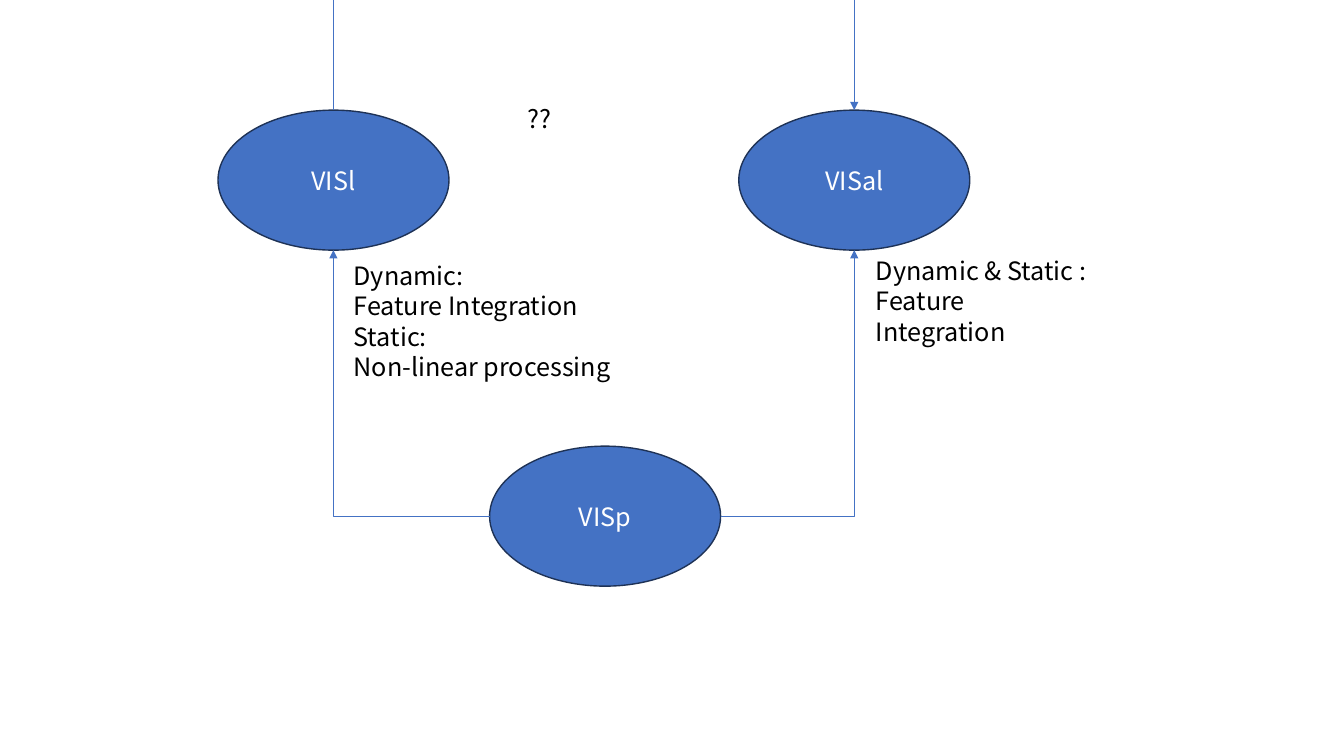
from lxml import etree
from pptx import Presentation
from pptx.dml.color import RGBColor
from pptx.enum import shapes, text
from pptx.oxml.ns import qn
from pptx.util import Pt

FONT = "Noto Sans CJK SC"
BLUE, NAVY, WHITE, BLACK = "4472C4", "1E3256", "FFFFFF", "000000"
NODE_W, NODE_H = 165, 100


def color(value):
    return RGBColor.from_string(value)


def write(sp, lines, ink, align):
    tf = sp.text_frame
    tf.word_wrap = True
    tf.text = "\n".join(lines)
    for p in tf.paragraphs:
        p.alignment = align
        p.line_spacing = Pt(21.7)
        p.font.name = FONT
        p.font.size = Pt(18)
        p.font.color.rgb = color(ink)


def add_area(slide, name, center_x, center_y):
    sp = slide.shapes.add_shape(
        shapes.MSO_SHAPE.OVAL, Pt(center_x - NODE_W / 2),
        Pt(center_y - NODE_H / 2), Pt(NODE_W), Pt(NODE_H))
    sp.shadow.inherit = False
    sp.fill.solid()
    sp.fill.fore_color.rgb = color(BLUE)
    sp.line.color.rgb = color(NAVY)
    sp.line.width = Pt(1)
    sp.text_frame.vertical_anchor = text.MSO_ANCHOR.MIDDLE
    write(sp, [name], WHITE, text.PP_ALIGN.CENTER)


def add_note(slide, lines, left, top, width, height):
    sp = slide.shapes.add_textbox(Pt(left), Pt(top), Pt(width), Pt(height))
    write(sp, lines, BLACK, text.PP_ALIGN.LEFT)


def add_link(slide, start, end, bent=False, arrow=True):
    kind = shapes.MSO_CONNECTOR.ELBOW if bent else shapes.MSO_CONNECTOR.STRAIGHT
    link = slide.shapes.add_connector(kind, *map(Pt, start + end))
    link.line.color.rgb = color(BLUE)
    link.line.width = Pt(0.5)
    props = link._element.spPr
    if bent:  # a single corner: across, then up
        props.find(qn("a:prstGeom")).set("prst", "bentConnector2")
    if arrow:
        etree.SubElement(props.find(qn("a:ln")), qn("a:tailEnd"), type="triangle")
    etree.SubElement(props, qn("a:effectLst"))


def main():
    prs = Presentation()
    prs.slide_width, prs.slide_height = Pt(960), Pt(540)
    slide = prs.slides.add_slide(prs.slide_layouts[6])

    # Visual areas
    left_x, right_x, primary_x = 238.2, 610.2, 432.2
    upper_y, primary_y = 128.7, 368.7
    add_area(slide, "VISl", left_x, upper_y)
    add_area(slide, "VISal", right_x, upper_y)
    add_area(slide, "VISp", primary_x, primary_y)

    # Links from VISp, then the link leaving and re-entering at the top edge
    top, bottom = upper_y - NODE_H / 2, upper_y + NODE_H / 2
    for side, x in ((-1, left_x), (1, right_x)):
        edge = primary_x + side * NODE_W / 2
        add_link(slide, (edge, primary_y), (x, bottom), bent=True)
    add_link(slide, (left_x, top), (left_x, 0), arrow=False)
    add_link(slide, (right_x, 0), (right_x, top))

    # Notes on the links
    add_note(slide, ["Dynamic & Static : Feature Integration"], 618.5, 178.6, 170, 94.3)
    add_note(slide, ["Dynamic:", "Feature Integration", "Static:",
                     "Non-linear processing"], 245.5, 182.2, 211.7, 94.3)
    add_note(slide, ["??"], 370, 69.8, 136.8, 29)

    prs.save("out.pptx")


if __name__ == "__main__":
    main()
